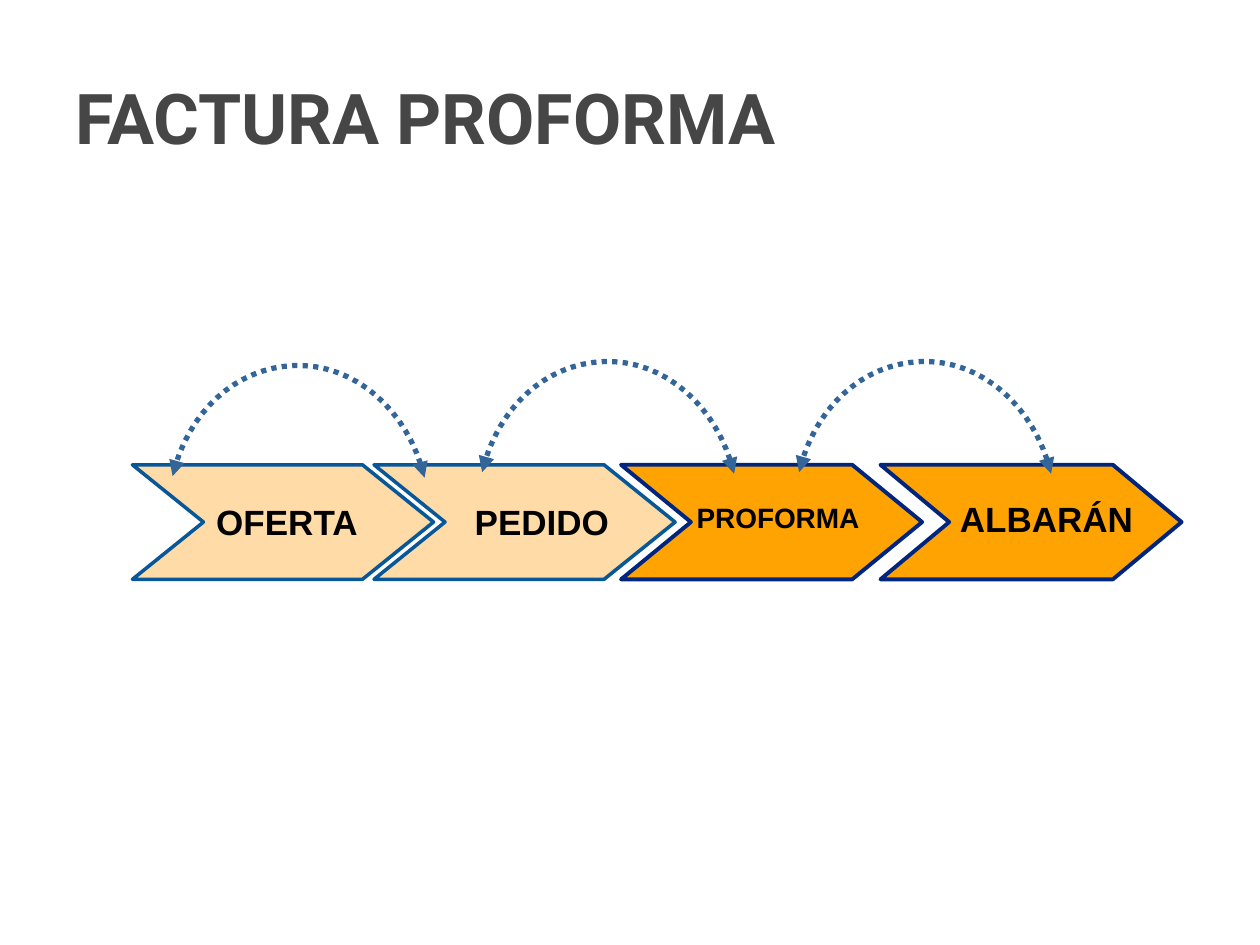
from lxml.etree import SubElement
from pptx import Presentation
from pptx.dml.color import RGBColor as RGB
from pptx.enum.dml import MSO_LINE
from pptx.enum.shapes import MSO_SHAPE as SHAPE
from pptx.enum.text import MSO_ANCHOR as ANCHOR, MSO_AUTO_SIZE as AUTO, PP_ALIGN as ALIGN
from pptx.oxml.ns import qn
from pptx.util import Cm, Pt

COLORS = {
    "title": "464646",
    "text": "000000",
    "peach": "FFDBA7",
    "orange": "FFA302",
    "blue": "085798",
    "navy": "00257E",
    "arc": "336599",
}
ARC_CURVES = [
    [(8.56, 9.63), (8.23, 8.26), (7.14, 7.32), (5.92, 7.37)],
    [(5.92, 7.37), (4.75, 7.42), (3.78, 8.31), (3.48, 9.6)],
]
STEPS = 16


def bezier(points, t):
    weights = ((1 - t) ** 3, 3 * t * (1 - t) ** 2, 3 * t * t * (1 - t), t ** 3)
    return tuple(sum(w * p[axis] for w, p in zip(weights, points)) for axis in (0, 1))


class FlowSlide:
    def __init__(self, prs):
        self.s = prs.slides.add_slide(prs.slide_layouts[6])

    def color(self, name):
        return RGB.from_string(COLORS[name])

    def text(self, box, text, size, font="Arial", color="text", align=ALIGN.LEFT,
             wrap=False, anchor=ANCHOR.TOP, fit=AUTO.SHAPE_TO_FIT_TEXT):
        tf = self.s.shapes.add_textbox(*map(Cm, box)).text_frame
        tf.word_wrap = wrap
        tf.auto_size = fit
        tf.vertical_anchor = anchor
        p = tf.paragraphs[0]
        p.alignment = align
        r = p.add_run()
        r.text = text
        r.font.name = font
        r.font.size = Pt(size)
        r.font.bold = True
        r.font.color.rgb = self.color(color)

    def chevron(self, left, point, fill, line, width):
        sp = self.s.shapes.add_shape(SHAPE.CHEVRON, Cm(left), Cm(9.37), Cm(6.07), Cm(2.31))
        sp.adjustments[0] = point
        sp.shadow.inherit = False
        sp.fill.solid()
        sp.fill.fore_color.rgb = self.color(fill)
        sp.line.color.rgb = self.color(line)
        sp.line.width = Pt(width)

    def arc(self, dx, dy):
        points = [ARC_CURVES[0][0]]
        for curve in ARC_CURVES:
            points += [bezier(curve, i / STEPS) for i in range(1, STEPS + 1)]
        points = [(Cm(x + dx), Cm(y + dy)) for x, y in points]
        builder = self.s.shapes.build_freeform(*points[0])
        builder.add_line_segments(points[1:], close=False)
        sp = builder.convert_to_shape()
        sp.shadow.inherit = False
        sp.fill.background()
        sp.line.color.rgb = self.color("arc")
        sp.line.width = Pt(3)
        sp.line.dash_style = MSO_LINE.ROUND_DOT
        ln = sp.line._get_or_add_ln()
        for end in ("a:headEnd", "a:tailEnd"):
            SubElement(ln, qn(end), type="triangle")


def main():
    prs = Presentation()
    prs.slide_width, prs.slide_height = Cm(25.4), Cm(19.05)
    flow = FlowSlide(prs)
    flow.text((1.27, 0.76, 22.86, 3.18), "FACTURA PROFORMA", 40, "Roboto", "title",
              wrap=True, anchor=ANCHOR.MIDDLE, fit=AUTO.NONE)

    early = ("peach", "blue", 2)
    late = ("orange", "navy", 2.25)
    for left, point, style in [(7.54, 0.62, early), (2.67, 0.62, early),
                               (12.52, 0.61, late), (17.75, 0.6, late)]:
        flow.chevron(left, point, *style)

    flow.text((4.11, 9.96, 3.43, 1.09), "OFERTA", 20)
    flow.text((9.32, 9.96, 3.23, 1.09), "PEDIDO", 20)
    flow.text((13.74, 9.96, 3.89, 0.94), "PROFORMA", 16, align=ALIGN.CENTER, wrap=True)
    flow.text((19.1, 9.91, 4.01, 1.09), "ALBARÁN", 20)

    for dx, dy in [(0, 0), (6.24, -0.08), (12.63, -0.08)]:
        flow.arc(dx, dy)
    prs.save("out.pptx")


if __name__ == "__main__":
    main()
